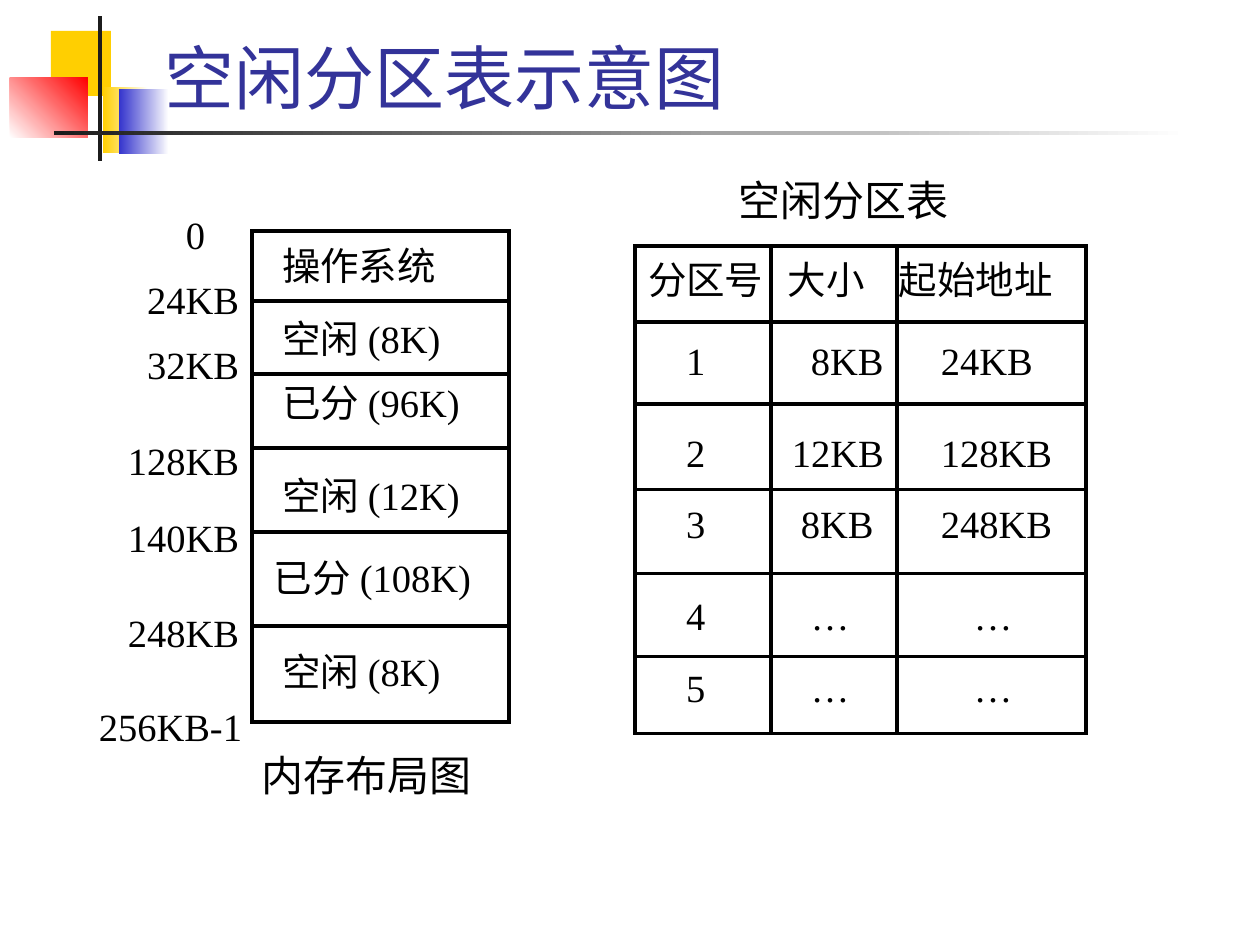
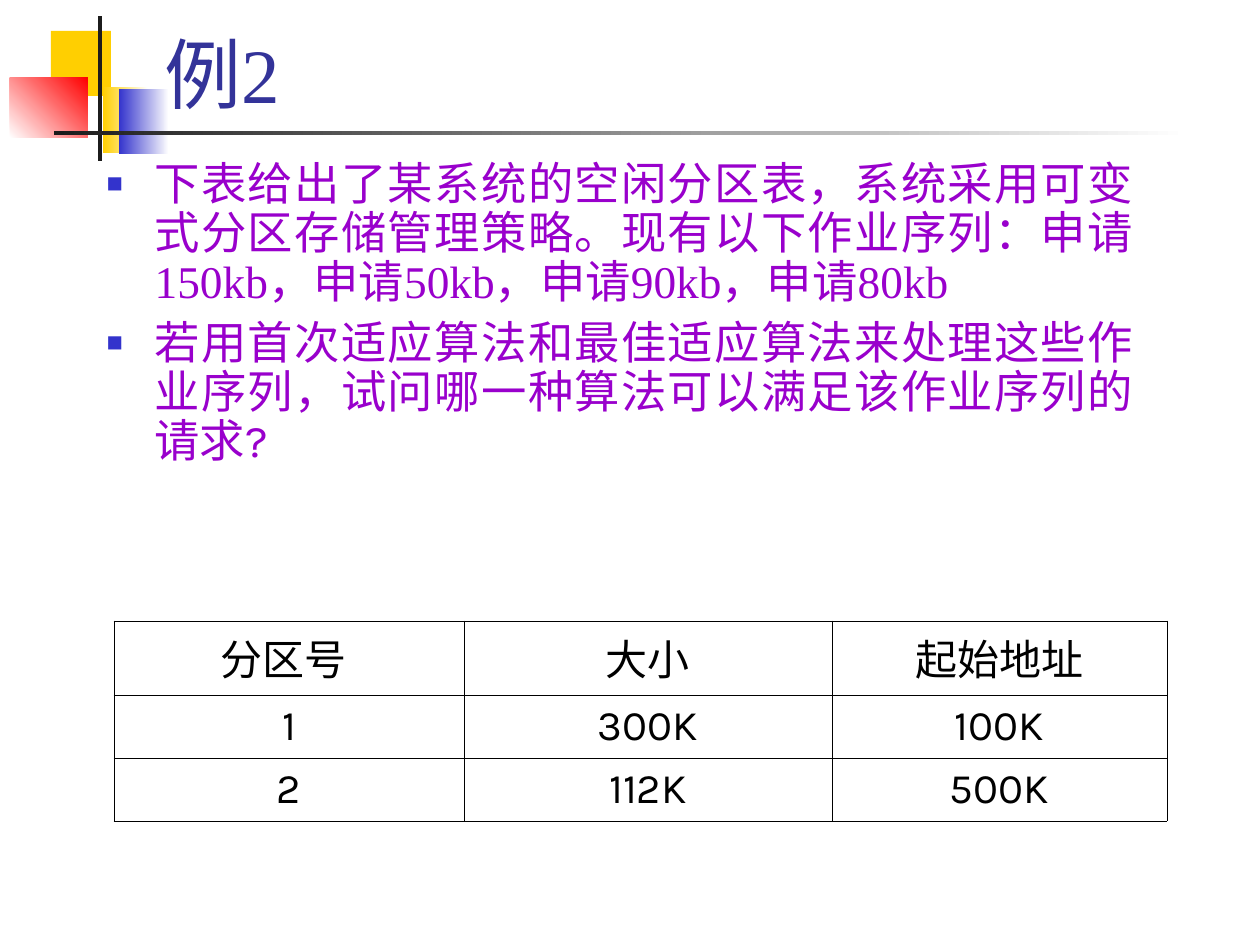
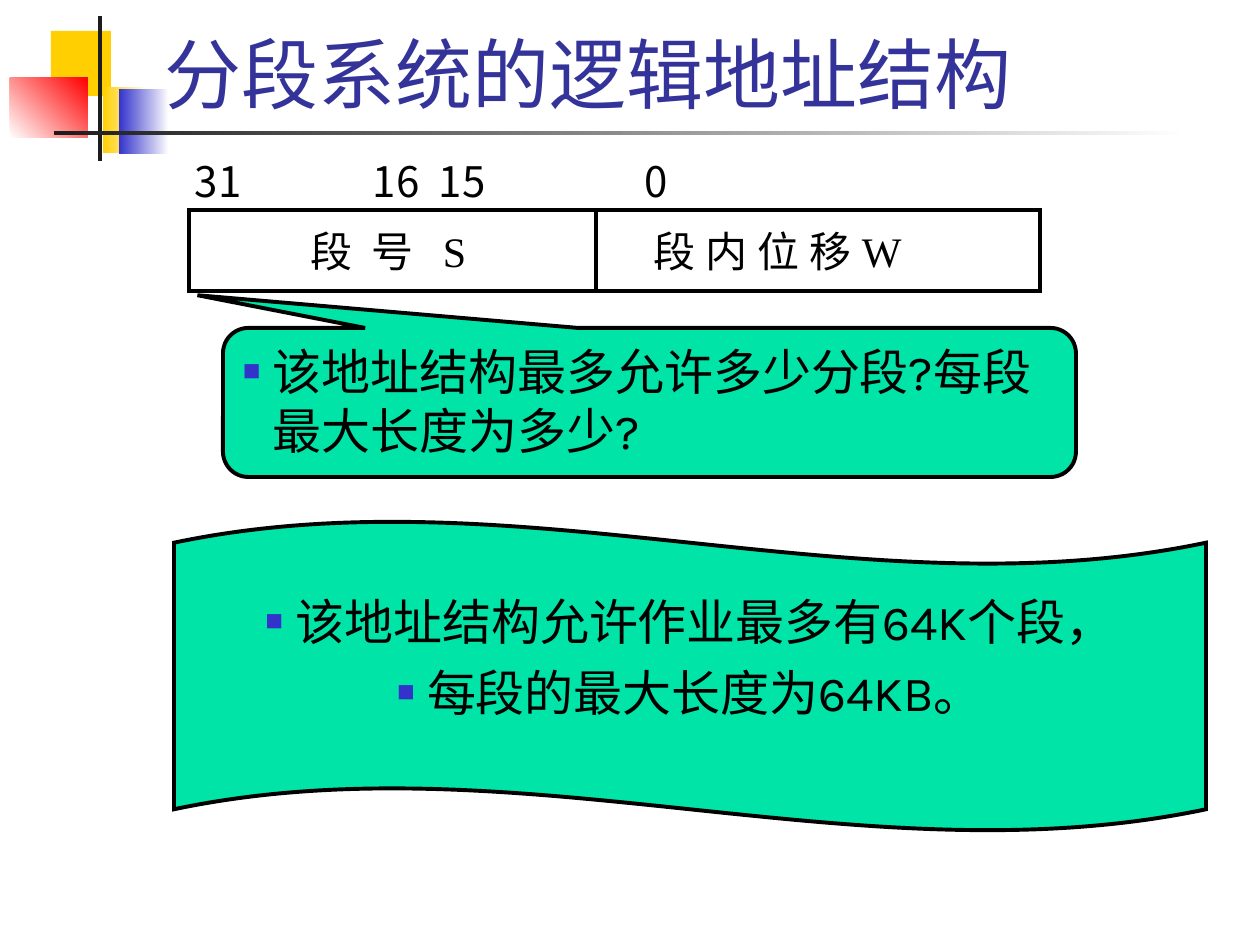
from dataclasses import dataclass
from itertools import accumulate

from lxml.etree import SubElement
from pptx import Presentation
from pptx.dml.color import RGBColor
from pptx.enum.shapes import MSO_CONNECTOR, MSO_SHAPE
from pptx.enum.text import MSO_ANCHOR, MSO_AUTO_SIZE, PP_ALIGN
from pptx.oxml.ns import qn
from pptx.util import Emu, Pt

PX_PER_INCH = 126


@dataclass(frozen=True)
class Theme:
    ink: str = "000000"
    paper: str = "FFFFFF"
    title: str = "333399"
    body: str = "9900CC"
    bullet: str = "3333CC"
    gold: str = "FFCF01"
    red: str = "FF0000"
    bar: str = "1C1C1C"
    note: str = "00E4A8"
    serif: str = "Times New Roman"
    sans: str = "Karla"
    digits: str = "Noto Sans CJK SC"
    title_size: float = 44
    long_title_size: float = 40
    note_size: float = 28
    body_size: float = 25.9
    text_size: float = 24
    small_size: float = 22
    space: float = 7
    thick: float = 2.25
    medium: float = 2
    thin: float = 0.45


T = Theme()


@dataclass(frozen=True)
class Box:
    x: int
    y: int
    w: int
    h: int

    def emu(self) -> tuple:
        return px(self.x), px(self.y), px(self.w), px(self.h)


@dataclass(frozen=True)
class Style:
    size: float
    font: str = T.serif
    color: str = T.ink
    align: PP_ALIGN = PP_ALIGN.LEFT


@dataclass(frozen=True)
class Decor:
    box: Box
    start: str
    end: str = ""
    angle: int = 0


@dataclass(frozen=True)
class Line:
    """A line of a stacked text: the gap above it and its side margin."""
    text: str
    gap: int
    margin: int


@dataclass(frozen=True)
class Label:
    text: str
    x: int


@dataclass(frozen=True)
class Row:
    """A table row: its cells, height, left insets and vertical shift."""
    cells: tuple
    height: int
    insets: tuple = (0, 0, 0)
    shift: int = 0


DECOR = (
    Decor(Box(51, 31, 60, 65), T.gold),
    Decor(Box(103, 87, 45, 66), T.gold, T.paper),
    Decor(Box(119, 89, 50, 65), T.bullet, T.paper),
    Decor(Box(10, 78, 78, 60), T.paper, T.red, 45),
    Decor(Box(98, 16, 4, 145), T.bar),
    Decor(Box(54, 131, 1134, 4), T.bar, T.paper),
)
BLOCKS = (
    Line("操作系统", 0, 30), Line("空闲 (8K)", 27, 30),
    Line("已分 (96K)", 18, 30), Line("空闲 (12K)", 47, 30),
    Line("已分 (108K)", 35, 22), Line("空闲 (8K)", 48, 30),
)
BLOCK_EDGES = (301, 374, 448, 532, 626)
ADDRESSES = (
    Line("0", 0, 38), Line("24KB", 19, 4), Line("32KB", 19, 4),
    Line("128KB", 49, 4), Line("140KB", 31, 4),
    Line("248KB", 49, 4), Line("256KB-1", 48, 1),
)
FREE_ROWS = (
    Row(("分区号", "大小", "起始地址"), 76, (13, 17, 2), -2),
    Row(("1", "8KB", "24KB"), 82, (51, 40, 44)),
    Row(("2", "12KB", "128KB"), 86, (51, 21, 44), 8),
    Row(("3", "8KB", "248KB"), 84, (51, 30, 44), -6),
    Row(("4", "…", "…"), 83, (51, 40, 77), 2),
    Row(("5", "…", "…"), 77, (51, 40, 77), -6),
)
EXAMPLE_ROWS = (
    Row(("分区号 ", "大小", "起始地址"), 74, shift=4),
    Row(("1", "300K", "100K"), 63),
    Row(("2", "112K", "500K"), 63),
)
BITS = (Label("31", 195), Label("16", 373), Label("15", 439), Label("0", 645))


def px(n: int) -> Emu:
    return Emu(round(n * 914400 / PX_PER_INCH))


def rgb(color: str) -> RGBColor:
    return RGBColor.from_string(color)


# Text
def format_paragraph(p, style: Style) -> None:
    p.alignment = style.align
    for r in p.runs:
        format_run(r, style)


def format_run(r, style: Style) -> None:
    r.font.size = Pt(style.size)
    r.font.color.rgb = rgb(style.color)
    r.font.name = style.font
    rpr = r._r.get_or_add_rPr()
    rpr.set("lang", "zh-CN")
    east_asian = T.sans if style.font == T.serif else style.font
    SubElement(rpr, qn("a:ea")).set("typeface", east_asian)


def set_margins(target, left: int = 0, shift: int = 0) -> None:
    """Inset a text frame or cell; shift moves middle-anchored text down."""
    target.margin_left, target.margin_right = px(left), 0
    target.margin_top = px(max(2 * shift, 0))
    target.margin_bottom = px(max(-2 * shift, 0))
    target.vertical_anchor = MSO_ANCHOR.MIDDLE


def add_bullet(p, indent: int) -> None:
    ppr = p._p.get_or_add_pPr()
    ppr.set("marL", str(px(indent)))
    ppr.set("indent", str(-px(indent)))
    clr = SubElement(ppr, qn("a:buClr"))
    SubElement(clr, qn("a:srgbClr")).set("val", T.bullet)
    SubElement(ppr, qn("a:buSzPct")).set("val", "60000")
    SubElement(ppr, qn("a:buFont")).set("typeface", T.serif)
    SubElement(ppr, qn("a:buChar")).set("char", "■")


def add_tabs(p, stops: tuple) -> None:
    tabs = SubElement(p._p.get_or_add_pPr(), qn("a:tabLst"))
    for stop in stops:
        tab = SubElement(tabs, qn("a:tab"))
        tab.set("pos", str(px(stop)))
        tab.set("algn", "l")


def fill_bullets(tf, lines: tuple, style: Style, indent: int) -> None:
    tf.word_wrap = True
    tf.text = "\n".join(lines)
    for i, p in enumerate(tf.paragraphs):
        add_bullet(p, indent)
        p.space_before = Pt(T.space if i else 0)
        format_paragraph(p, style)


def fill_stack(tf, lines: tuple, style: Style, top: int) -> None:
    """Stack lines from the top, each with its own gap and side margin."""
    tf.word_wrap = True
    tf.text = "\n".join(line.text for line in lines)
    set_margins(tf)
    tf.vertical_anchor = MSO_ANCHOR.TOP
    tf.margin_top = px(top)
    side = "marR" if style.align == PP_ALIGN.RIGHT else "marL"
    for p, line in zip(tf.paragraphs, lines):
        p.space_before = px(line.gap)
        p._p.get_or_add_pPr().set(side, str(px(line.margin)))
        format_paragraph(p, style)


def add_label(slide, text: str, box: Box, style: Style) -> None:
    tf = slide.shapes.add_textbox(*box.emu()).text_frame
    tf.text = text
    tf.word_wrap = True
    set_margins(tf)
    format_paragraph(tf.paragraphs[0], style)


# Shapes, lines and tables
def add_shape(slide, box: Box, fill: str, line: float = 0,
              kind: MSO_SHAPE = MSO_SHAPE.RECTANGLE):
    sp = slide.shapes.add_shape(kind, *box.emu())
    sp.shadow.inherit = False
    sp.fill.solid()
    sp.fill.fore_color.rgb = rgb(fill)
    if line:
        sp.line.color.rgb = rgb(T.ink)
        sp.line.width = Pt(line)
        miter = SubElement(sp._element.spPr.find(qn("a:ln")), qn("a:miter"))
        miter.set("lim", "800000")
    else:
        sp.line.fill.background()
    return sp


def add_divider(slide, x1: int, y1: int, x2: int, y2: int, width: float) -> None:
    line = slide.shapes.add_connector(MSO_CONNECTOR.STRAIGHT,
                                      px(x1), px(y1), px(x2), px(y2))
    line.line.color.rgb = rgb(T.ink)
    line.line.width = Pt(width)
    SubElement(line._element.spPr, qn("a:effectLst"))


def add_borders(cell, width: float) -> None:
    tcpr = cell._tc.get_or_add_tcPr()
    for i, side in enumerate(("lnL", "lnR", "lnT", "lnB")):
        ln = SubElement(tcpr, qn(f"a:{side}"))
        ln.set("w", str(Pt(width)))
        fill = SubElement(ln, qn("a:solidFill"))
        SubElement(fill, qn("a:srgbClr")).set("val", T.ink)
        tcpr.insert(i, ln)


def add_table(slide, x: int, y: int, widths: tuple, rows: tuple,
              line: float, style: Style) -> None:
    box = Box(x, y, sum(widths), sum(row.height for row in rows))
    table = slide.shapes.add_table(len(rows), len(widths), *box.emu()).table
    table.first_row = table.horz_banding = False
    for column, width in zip(table.columns, widths):
        column.width = px(width)
    for i, row in enumerate(rows):
        table.rows[i].height = px(row.height)
        for j, (text, inset) in enumerate(zip(row.cells, row.insets)):
            cell = table.cell(i, j)
            cell.text = text
            set_margins(cell, inset, row.shift)
            cell.fill.solid()
            cell.fill.fore_color.rgb = rgb(T.paper)
            add_borders(cell, line)
            format_paragraph(cell.text_frame.paragraphs[0], style)


# Shared parts
def decorate_master(prs, slide) -> None:
    """Draw the corner motif and move it to the slide master."""
    for i, item in enumerate(DECOR):
        sp = add_shape(slide, item.box, item.start)
        if item.end:
            sp.fill.gradient()
            sp.fill.gradient_angle = item.angle
            for stop, color in zip(sp.fill.gradient_stops, (item.start, item.end)):
                stop.color.rgb = rgb(color)
        sp._element.nvSpPr.cNvPr.set("id", str(100 + i))
        prs.slide_master.shapes._spTree.append(sp._element)


def add_slide(prs, layout: int, title: str, style: Style):
    slide = prs.slides.add_slide(prs.slide_layouts[layout])
    sp = slide.shapes.title
    sp.left, sp.top, sp.width, sp.height = Box(152, 20, 1073, 105).emu()
    tf = sp.text_frame
    tf.text = title
    tf.auto_size = MSO_AUTO_SIZE.NONE
    tf.vertical_anchor = MSO_ANCHOR.BOTTOM
    format_paragraph(tf.paragraphs[0], style)
    return slide


# Slides
def free_table_slide(prs) -> None:
    slide = add_slide(prs, 5, "空闲分区表示意图",
                      Style(T.long_title_size, T.sans, T.title))
    decorate_master(prs, slide)
    text = Style(T.small_size)
    add_table(slide, 635, 246, (136, 126, 189), FREE_ROWS, T.medium, text)

    # Memory layout
    memory = add_shape(slide, Box(252, 231, 257, 491), T.paper, T.medium)
    fill_stack(memory.text_frame, BLOCKS, text, 11)
    for y in BLOCK_EDGES:
        add_divider(slide, 252, y, 509, y, T.medium)
    addresses = slide.shapes.add_textbox(*Box(93, 208, 150, 535).emu())
    fill_stack(addresses.text_frame, ADDRESSES,
               Style(T.small_size, align=PP_ALIGN.RIGHT), 3)

    caption = Style(T.text_size, T.sans, align=PP_ALIGN.CENTER)
    add_label(slide, "空闲分区表", Box(730, 165, 228, 70), caption)
    add_label(slide, "内存布局图", Box(253, 740, 228, 70), caption)


def example_slide(prs) -> None:
    slide = add_slide(prs, 1, "例2", Style(T.title_size, T.serif, T.title))
    body = slide.placeholders[1]
    body.left, body.top, body.width, body.height = Box(94, 155, 1052, 427).emu()
    tf = body.text_frame
    tf.auto_size = MSO_AUTO_SIZE.NONE
    fill_bullets(tf, (
        "下表给出了某系统的空闲分区表，系统采用可变式分区存储管理策略。"
        "现有以下作业序列：申请150kb，申请50kb，申请90kb，申请80kb",
        "若用首次适应算法和最佳适应算法来处理这些作业序列，"
        "试问哪一种算法可以满足该作业序列的请求",
    ), Style(T.body_size, T.serif, T.body, PP_ALIGN.JUSTIFY), 48)
    for p in tf.paragraphs:
        p.line_spacing = 0.9
    mark = tf.paragraphs[-1].add_run()
    mark.text = "?"
    format_run(mark, Style(T.body_size, T.sans, T.body))

    cell = Style(T.text_size, T.sans, align=PP_ALIGN.CENTER)
    add_table(slide, 114, 621, (350, 368, 335), EXAMPLE_ROWS, T.thin, cell)


def address_slide(prs) -> None:
    slide = add_slide(prs, 5, "分段系统的逻辑地址结构",
                      Style(T.title_size, T.sans, T.title))
    # Address word
    for bit in BITS:
        add_label(slide, bit.text, Box(bit.x, 151, 60, 60),
                  Style(T.text_size, T.digits))
    word = add_shape(slide, Box(189, 210, 851, 81), T.paper, T.thick)
    tf = word.text_frame
    tf.text = "段\t号\tS\t段 内 位 移 W"
    set_margins(tf, 122)
    add_tabs(tf.paragraphs[0], tuple(accumulate((61, 71, 211))))
    format_paragraph(tf.paragraphs[0], Style(T.text_size))
    add_divider(slide, 596, 210, 596, 291, T.thick)

    # Question and answer
    question = add_shape(slide, Box(223, 328, 853, 149), T.note, T.thick,
                         MSO_SHAPE.ROUNDED_RECTANGULAR_CALLOUT)
    for i, value in enumerate((-0.53, -0.72, 0.17)):
        question.adjustments[i] = value
    question.text_frame.vertical_anchor = MSO_ANCHOR.TOP
    fill_bullets(question.text_frame,
                 ("该地址结构最多允许多少分段?每段最大长度为多少?",),
                 Style(T.note_size, T.sans), 30)

    answer = add_shape(slide, Box(174, 521, 1032, 310), T.note, T.thick,
                       MSO_SHAPE.WAVE)
    answer.adjustments[0] = 0.07
    set_margins(answer.text_frame, shift=-20)
    fill_bullets(answer.text_frame,
                 ("该地址结构允许作业最多有64K个段，", "每段的最大长度为64KB。"),
                 Style(T.note_size, T.sans, align=PP_ALIGN.CENTER), 30)


def main() -> None:
    prs = Presentation()
    prs.slide_width, prs.slide_height = px(1260), px(945)
    free_table_slide(prs)
    example_slide(prs)
    address_slide(prs)
    prs.save("out.pptx")


if __name__ == "__main__":
    main()
